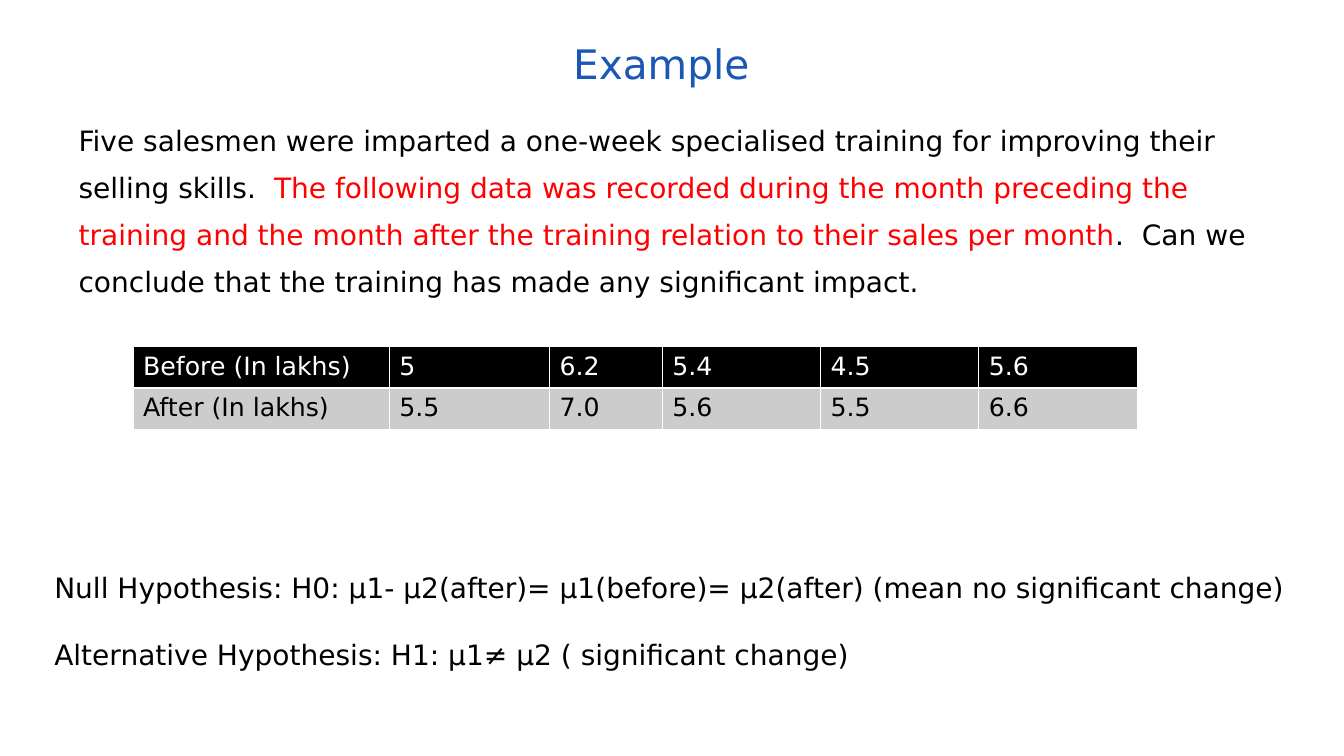
from lxml import etree
from pptx import Presentation
from pptx.dml.color import RGBColor
from pptx.enum.text import MSO_ANCHOR, PP_ALIGN
from pptx.oxml.ns import qn
from pptx.util import Inches, Pt

CENTER, LEFT = PP_ALIGN.CENTER, PP_ALIGN.LEFT
MIDDLE, TOP = MSO_ANCHOR.MIDDLE, MSO_ANCHOR.TOP

FONT = "DejaVu Sans"
COLORS = {
    "title": "1B57B5",
    "text": "000000",
    "highlight": "FF0000",
    "header": "000000",
    "band": "CCCCCC",
    "white": "FFFFFF",
}

QUESTION = [
    ("Five salesmen were imparted a one-week specialised training for "
     "improving their selling skills.  ", "text"),
    ("The following data was recorded during the month preceding the training "
     "and the month after the training relation to their sales per month",
     "highlight"),
    (".  Can we conclude that the training has made any significant impact.",
     "text"),
]
SALES = [
    ["Before (In lakhs)", "5", "6.2", "5.4", "4.5", "5.6"],
    ["After (In lakhs)", "5.5", "7.0", "5.6", "5.5", "6.6"],
]
ROW_STYLES = [("header", "white"), ("band", "text")]  # fill, font colour
COLUMN_WIDTHS = [2.54, 1.59, 1.12, 1.57, 1.57, 1.57]
ROW_HEIGHT = 0.41
HYPOTHESES = [
    "Null Hypothesis: H0: μ1- μ2(after)= μ1(before)= μ2(after) "
    "(mean no significant change)",
    "Alternative Hypothesis: H1: μ1≠ μ2 ( significant change)",
]


def color(name):
    return RGBColor.from_string(COLORS[name])


def add_text(slide, box, paragraphs, size, spacing=1.0, before=0,
             align=LEFT, anchor=TOP, insets=(0.1, 0.05)):
    """Add a text box; each paragraph is a list of (text, colour name)."""
    frame = slide.shapes.add_textbox(*map(Inches, box)).text_frame
    frame.word_wrap = True
    frame.vertical_anchor = anchor
    frame.margin_left = frame.margin_right = Inches(insets[0])
    frame.margin_top = frame.margin_bottom = Inches(insets[1])
    for index, runs in enumerate(paragraphs):
        paragraph = frame.add_paragraph() if index else frame.paragraphs[0]
        paragraph.alignment = align
        paragraph.line_spacing = spacing
        paragraph.space_before = Pt(before)
        paragraph.font.name, paragraph.font.size = FONT, Pt(size)
        for text, color_name in runs:
            run = paragraph.add_run()
            run.text = text
            run.font.color.rgb = color(color_name)


def set_borders(cell, color_name, width):
    properties = cell._tc.get_or_add_tcPr()
    for position, side in enumerate(("a:lnL", "a:lnR", "a:lnT", "a:lnB")):
        line = etree.Element(qn(side), w=str(Pt(width)))
        fill = etree.SubElement(line, qn("a:solidFill"))
        etree.SubElement(fill, qn("a:srgbClr"), val=COLORS[color_name])
        properties.insert(position, line)


def add_sales_table(slide, left, top):
    table = slide.shapes.add_table(
        len(SALES), len(COLUMN_WIDTHS), Inches(left), Inches(top),
        Inches(sum(COLUMN_WIDTHS)), Inches(ROW_HEIGHT * len(SALES))).table
    for column, width in zip(table.columns, COLUMN_WIDTHS):
        column.width = Inches(width)
    for row, values, (fill, font_color) in zip(table.rows, SALES, ROW_STYLES):
        row.height = Inches(ROW_HEIGHT)
        for cell, value in zip(row.cells, values):
            cell.text = value
            cell.fill.solid()
            cell.fill.fore_color.rgb = color(fill)
            set_borders(cell, "white", 1)
            font = cell.text_frame.paragraphs[0].font
            font.name, font.size, font.bold = FONT, Pt(18), False
            font.color.rgb = color(font_color)


def main():
    presentation = Presentation()
    presentation.slide_width = Inches(13.33)
    presentation.slide_height = Inches(7.5)
    slide = presentation.slides.add_slide(presentation.slide_layouts[6])

    # Title and question
    add_text(slide, (0.56, 0.25, 12, 0.75), [[("Example", "title")]], 29,
             align=CENTER, anchor=MIDDLE, insets=(0.11, 0.06))
    add_text(slide, (0.67, 1.03, 12, 2.2), [QUESTION], 20, spacing=1.4,
             before=4, insets=(0.11, 0.06))

    # Sales before and after the training
    add_sales_table(slide, 1.32, 3.44)

    # Hypotheses
    add_text(slide, (0.44, 5.28, 12.8, 1.34),
             [[(text, "text")] for text in HYPOTHESES], 20, spacing=2.0)

    presentation.save("out.pptx")


if __name__ == "__main__":
    main()
